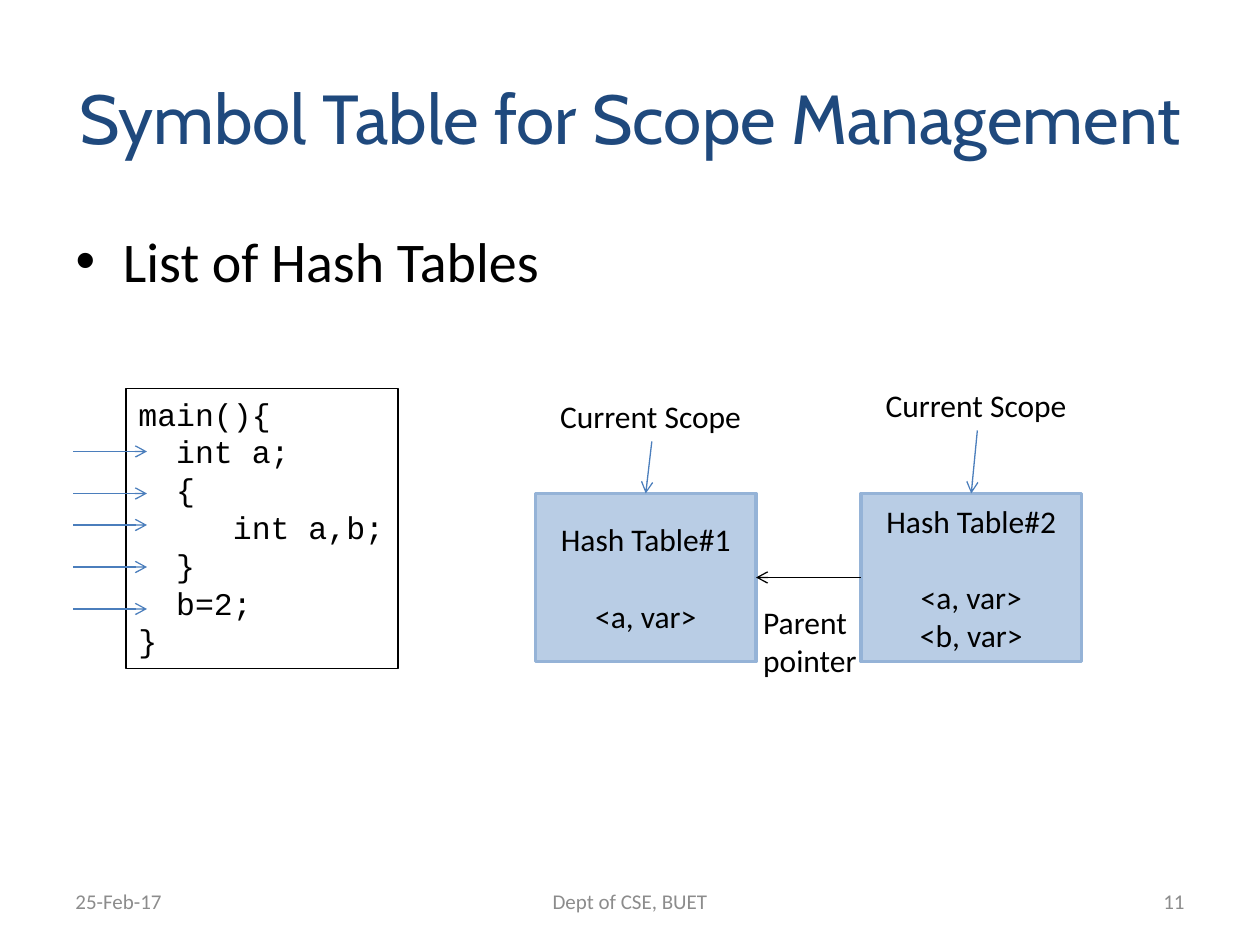
from lxml.etree import SubElement
from pptx import Presentation
from pptx.dml.color import RGBColor
from pptx.enum.shapes import MSO_CONNECTOR as CONN, MSO_SHAPE as SHAPE
from pptx.enum.text import MSO_ANCHOR as ANCHOR, MSO_AUTO_SIZE as FIT, PP_ALIGN as ALIGN
from pptx.oxml.ns import qn
from pptx.util import Pt

TOP, LEFT, RIGHT = 0, 1, 3
BLACK, NAVY, BLUE, GRAY = "000000", "1F497D", "4B7EBC", "8C8C8C"
TABLE_FILL, TABLE_LINE = "B9CDE5", "95B3D7"


def rgb(value):
    return RGBColor.from_string(value)


def pts(values):
    return [Pt(v) for v in values]


class Deck:
    font = "Calibri"
    size = 18

    def __init__(self, width, height):
        self.prs = Presentation()
        self.prs.slide_width, self.prs.slide_height = Pt(width), Pt(height)
        self.slide = self.prs.slides.add_slide(self.prs.slide_layouts[1])

    def style(self, p, size=None, color=BLACK, font=None, align=ALIGN.LEFT):
        p.font.name = font or self.font
        p.font.size = Pt(size or self.size)
        p.font.color.rgb = rgb(color)
        p.alignment = align

    def fill_text(self, tf, lines, **style):
        """Fill a text frame with one styled paragraph per line."""
        for i, line in enumerate(lines):
            p = tf.add_paragraph() if i else tf.paragraphs[0]
            p.text = line
            self.style(p, **style)

    def placeholder(self, index, box, text, **style):
        sp = self.slide.placeholders[index]
        sp.left, sp.top, sp.width, sp.height = pts(box)
        tf = sp.text_frame
        tf.auto_size = FIT.NONE
        self.fill_text(tf, [text], **style)

    def label(self, box, lines, wrap=False, anchor=ANCHOR.TOP, **style):
        tf = self.slide.shapes.add_textbox(*pts(box)).text_frame
        tf.word_wrap = wrap
        tf.vertical_anchor = anchor
        self.fill_text(tf, lines, **style)

    def box(self, box, lines, line, weight, fill=None, anchor=ANCHOR.MIDDLE, **style):
        sp = self.slide.shapes.add_shape(SHAPE.RECTANGLE, *pts(box))
        sp.shadow.inherit = False
        if fill:
            sp.fill.solid()
            sp.fill.fore_color.rgb = rgb(fill)
        else:
            sp.fill.background()
        sp.line.color.rgb = rgb(line)
        sp.line.width = Pt(weight)
        sp.text_frame.vertical_anchor = anchor
        self.fill_text(sp.text_frame, lines, **style)
        return sp

    def code(self, box, lines, pitch):
        """Draw a code listing from (indent in characters, text) pairs."""
        sp = self.box(box, [text for _, text in lines], BLACK, 0.75,
                      anchor=ANCHOR.TOP, font="Courier New")
        sp.text_frame.word_wrap = False
        char_width = 0.6 * self.size
        for p, (indent, _) in zip(sp.text_frame.paragraphs, lines):
            p.line_spacing = Pt(pitch)
            p._p.get_or_add_pPr().set("marL", str(Pt(indent * char_width)))

    def hash_table(self, box, name, entries):
        sp = self.box(box, [name, *entries], TABLE_LINE, 2, TABLE_FILL, align=ALIGN.CENTER)
        sp.text_frame.paragraphs[1].space_before = Pt(22)
        return sp

    def arrow(self, start, end=(0, 0), color=BLUE, begin_at=None, end_at=None):
        """Draw an arrow; begin_at and end_at are (shape, side) pairs to join."""
        c = self.slide.shapes.add_connector(CONN.STRAIGHT, *pts(start + end))
        if begin_at:
            c.begin_connect(*begin_at)
        if end_at:
            c.end_connect(*end_at)
        c.line.color.rgb = rgb(color)
        c.line.width = Pt(0.75)
        ln = c._element.spPr.find(qn("a:ln"))
        SubElement(ln, qn("a:tailEnd"), type="arrow")
        SubElement(c._element.spPr, qn("a:effectLst"))


def main():
    deck = Deck(720, 540)
    deck.placeholder(0, (36, 21.6, 648, 90), "Symbol Table for Scope Management",
                     size=39.6, color=NAVY, font="Cabin", align=ALIGN.CENTER)
    deck.placeholder(1, (36, 126, 648, 356.4), "List of Hash Tables", size=32)

    for left, width, text, align in [
        (36, 168, "25-Feb-17", ALIGN.LEFT),
        (246, 228, "Dept of CSE, BUET", ALIGN.CENTER),
        (516, 168, "11", ALIGN.RIGHT),
    ]:
        deck.label((left, 500.5, width, 28.8), [text], wrap=True, anchor=ANCHOR.MIDDLE,
                   size=12, color=GRAY, align=align)

    deck.code((72, 222, 155.5, 160), [
        (0, "main(){"), (2, "int a;"), (2, "{"), (5, "int a,b;"),
        (2, "}"), (2, "b=2;"), (0, "}"),
    ], pitch=21.6)
    for y in (258, 282, 300, 324, 348):
        deck.arrow((42, y), (84, y))

    tables = []
    for left, label_top, name, entries in [
        (306, 223.2, "Hash Table#1", ["<a, var>"]),
        (492, 217, "Hash Table#2", ["<a, var>", "<b, var>"]),
    ]:
        table = deck.hash_table((left, 282, 126, 96), name, entries)
        deck.label((left + 7, label_top, 118.8, 29), ["Current Scope"])
        deck.arrow((left + 66.5, label_top + 29), end_at=(table, TOP))
        tables.append(table)

    first, second = tables
    deck.arrow((0, 0), color=BLACK, begin_at=(second, LEFT), end_at=(first, RIGHT))
    deck.label((429, 341.3, 68.4, 72.7), ["Parent", "pointer"])
    deck.prs.save("out.pptx")


if __name__ == "__main__":
    main()
